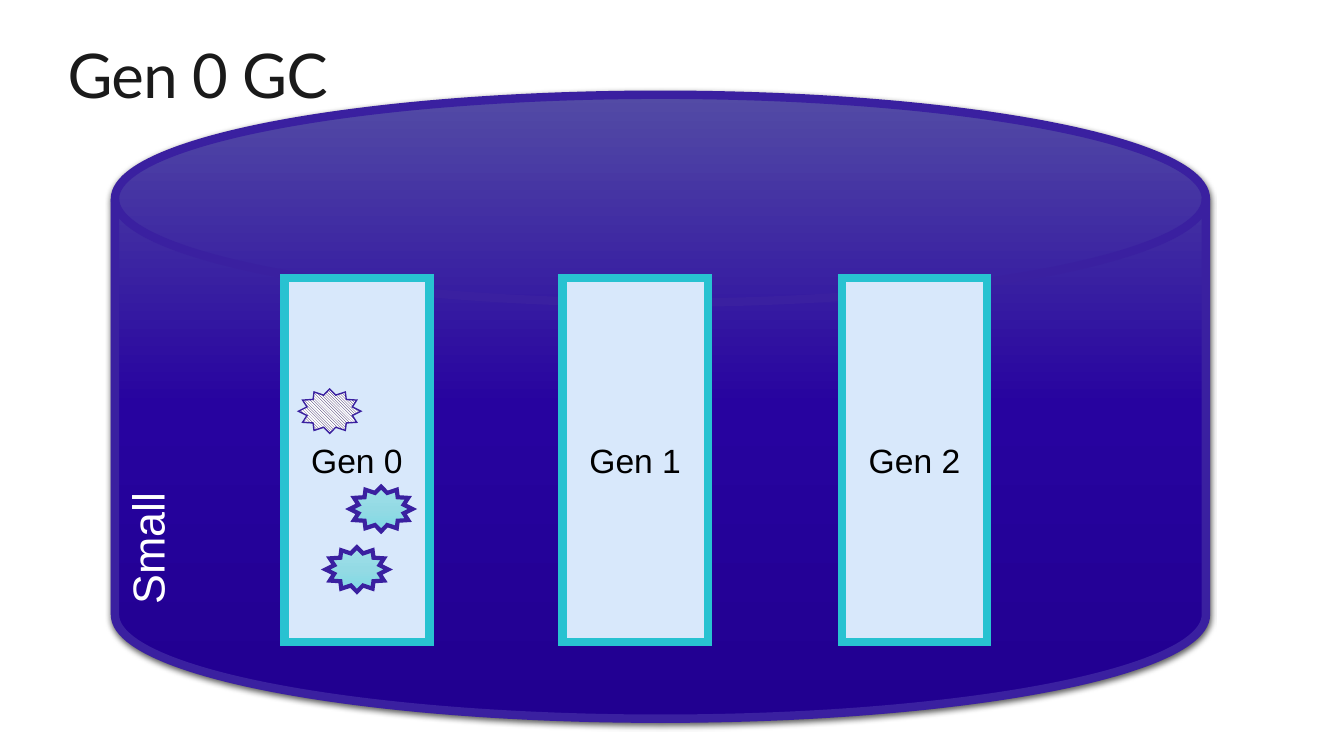
from lxml.etree import SubElement as Sub
from pptx import Presentation
from pptx.dml.color import RGBColor as RGB
from pptx.enum.dml import MSO_PATTERN as Hatch
from pptx.enum.shapes import MSO_SHAPE as Kind
from pptx.enum.text import MSO_ANCHOR as Anchor, PP_ALIGN as Align
from pptx.oxml.ns import qn
from pptx.util import Pt

SCALE = 9144
WHITE = RGB(0xFF, 0xFF, 0xFF)
BLACK = RGB(0, 0, 0)
INK = RGB(0x1A, 0x1A, 0x1A)
EDGE = RGB(0x3A, 0x20, 0xA0)
TEAL = RGB(0x28, 0xC2, 0xD1)
PALE = RGB(0xD8, 0xE8, 0xFB)
NIGHT = RGB(0x16, 0x05, 0x4C)
DEEP = (RGB(0x53, 0x4B, 0xA5), RGB(0x27, 0x03, 0x9F), RGB(0x21, 0x00, 0x90))
AQUA = (RGB(0xA1, 0xE0, 0xE9), RGB(0x93, 0xDA, 0xE4), RGB(0x7F, 0xD9, 0xE5))


class Board:
    def __init__(self, slide, font):
        self.shapes = slide.shapes
        self.font = font

    def box(self, at):
        return [n * SCALE for n in at]

    def form(self, kind, at, edge, width):
        shape = self.shapes.add_shape(kind, *self.box(at))
        shape.shadow.inherit = False
        shape.line.color.rgb = edge
        shape.line.width = Pt(width)
        Sub(shape._element.spPr.find(qn("a:ln")), qn("a:miter"), lim="800000")
        return shape

    def blend(self, shape, tones):
        shape.fill.gradient()
        grad = shape._element.spPr.find(qn("a:gradFill"))
        for part in list(grad):
            grad.remove(part)
        stops = Sub(grad, qn("a:gsLst"))
        for i, tone in enumerate(tones):
            stop = Sub(stops, qn("a:gs"), pos=str(i * 50000))
            Sub(stop, qn("a:srgbClr"), val=str(tone))
        Sub(grad, qn("a:lin"), ang="5400000", scaled="0")

    def label(self, shape, text, size, color, align, anchor, font=None):
        frame = shape.text_frame
        frame.vertical_anchor = anchor
        para = frame.paragraphs[0]
        para.text = text
        para.alignment = align
        para.font.name = font or self.font
        para.font.size = Pt(size)
        para.font.color.rgb = color
        return para

    def title(self, text, at):
        shape = self.shapes.add_textbox(*self.box(at))
        frame = shape.text_frame
        frame.word_wrap = True
        frame.margin_left = frame.margin_right = 0
        frame.margin_top = frame.margin_bottom = 0
        para = self.label(shape, text, 44, INK, Align.LEFT, Anchor.MIDDLE, "Lato")
        para.line_spacing = 0.9
        para.runs[0]._r.get_or_add_rPr().set("spc", "-50")

    def drum(self, text, at):
        shape = self.form(Kind.FLOWCHART_MAGNETIC_DISK, at, EDGE, 6)
        self.blend(shape, DEEP)
        glow = Sub(shape._element.spPr.find(qn("a:effectLst")), qn("a:outerShdw"),
                   blurRad=str(Pt(4.5)), dist=str(Pt(1.5)), dir="5400000", rotWithShape="0")
        Sub(Sub(glow, qn("a:srgbClr"), val=str(BLACK)), qn("a:alpha"), val="63000")
        self.label(shape, text, 32, WHITE, Align.LEFT, Anchor.TOP)
        shape.text_frame.word_wrap = False
        shape.text_frame._txBody.bodyPr.set("vert", "vert270")

    def heap(self, text, at):
        shape = self.form(Kind.RECTANGLE, at, TEAL, 6)
        shape.fill.solid()
        shape.fill.fore_color.rgb = PALE
        self.label(shape, text, 24, BLACK, Align.CENTER, Anchor.MIDDLE)
        shape.text_frame.word_wrap = False

    def star(self, x, y, dead=False):
        shape = self.form(Kind.STAR_12_POINT, (x, y, 62, 44), EDGE, 1 if dead else 3)
        if dead:
            shape.fill.patterned()
            shape.fill.pattern = Hatch.DARK_DOWNWARD_DIAGONAL
            shape.fill.fore_color.rgb = NIGHT
            shape.fill.back_color.rgb = WHITE
        else:
            self.blend(shape, AQUA)


def main():
    deck = Presentation()
    deck.slide_width = 1333 * SCALE
    deck.slide_height = 750 * SCALE
    board = Board(deck.slides.add_slide(deck.slide_layouts[6]), "Arial")
    board.drum("Small", (114, 94, 1082, 619))
    for i in range(3):
        board.heap(f"Gen {i}", (282 + i * 553 // 2, 276, 144, 361))
    board.star(323, 543)
    board.title("Gen 0 GC", (67, 33, 1200, 90))
    board.star(347, 483)
    board.star(296, 386, dead=True)
    deck.save("out.pptx")


if __name__ == "__main__":
    main()
